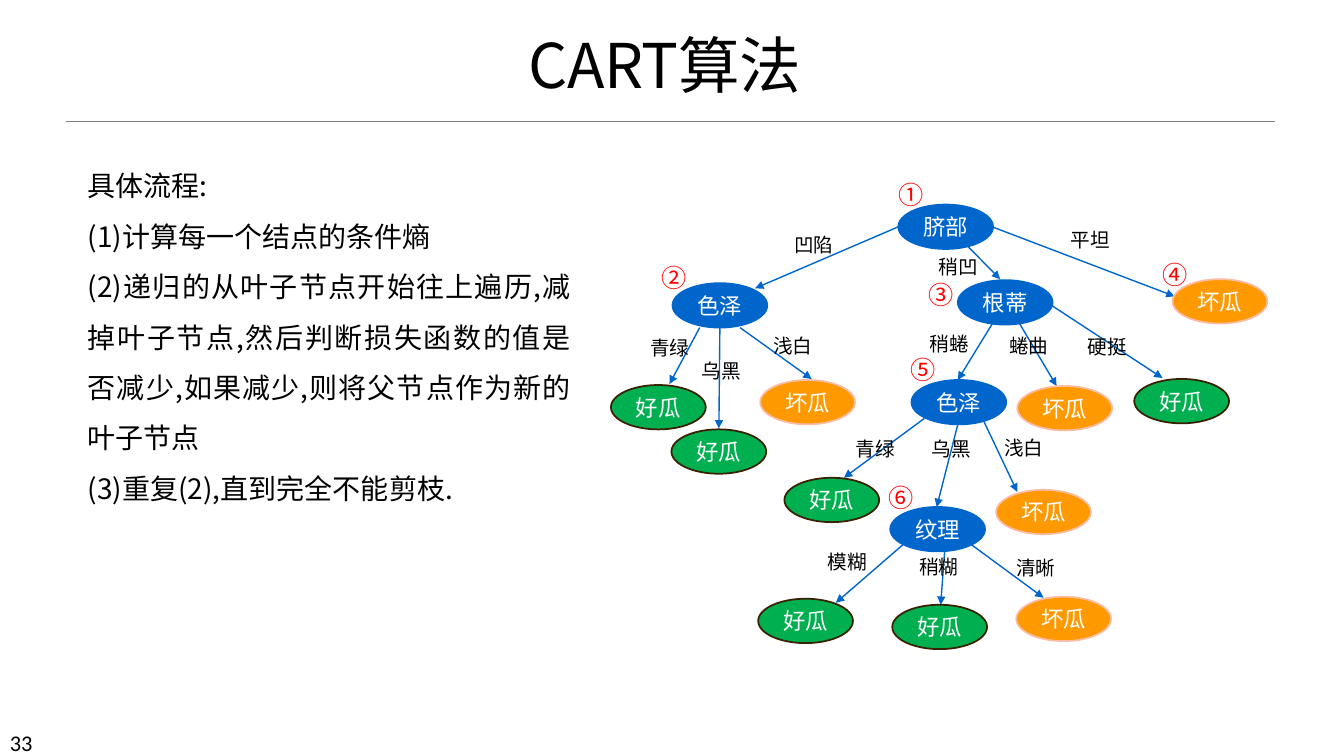
import pptx
import pptx.util
import pptx.dml.color
import pptx.enum.shapes
import pptx.enum.text
import pptx.oxml.ns
import lxml.etree
from dataclasses import dataclass

Inches, Pt = pptx.util.Inches, pptx.util.Pt
qn = pptx.oxml.ns.qn
ALIGN = pptx.enum.text.PP_ALIGN
ANCHOR = pptx.enum.text.MSO_ANCHOR
FIT = pptx.enum.text.MSO_AUTO_SIZE
STRAIGHT = pptx.enum.shapes.MSO_CONNECTOR.STRAIGHT
OVAL = pptx.enum.shapes.MSO_SHAPE.OVAL

TITLE = "CART算法"
PAGE = "33"
STEPS = [
    "具体流程:",
    "(1)计算每一个结点的条件熵",
    "(2)递归的从叶子节点开始往上遍历,减掉叶子节点,然后判断损失函数的值是否减少,如果减少,则将父节点作为新的叶子节点",
    "(3)重复(2),直到完全不能剪枝.",
]
# kind: (text, list of left/top corners)
NODES = [
    ("split", "脐部", [(8.91, 2.03)]),
    ("split", "色泽", [(6.67, 2.81), (9.04, 3.77)]),
    ("split", "根蒂", [(9.5, 2.78)]),
    ("split", "纹理", [(8.83, 5.03)]),
    ("good", "好瓜", [(6.06, 3.82), (6.66, 4.26), (11.25, 3.76),
                    (7.78, 4.74), (7.52, 5.94), (8.85, 6)]),
    ("bad", "坏瓜", [(11.63, 2.77), (7.54, 3.77), (10.09, 3.83),
                   (9.88, 4.86), (10.08, 5.92)]),
]
# label, label corner, arrow start, arrow end
EDGES = [
    ("凹陷", (7.78, 2.26), (8.91, 2.25), (7.49, 2.86)),
    ("稍凹", (9.21, 2.48), (9.22, 2.06), (9.92, 2.77)),
    ("平坦", (10.52, 2.21), (9.84, 2.25), (11.65, 2.94)),
    ("青绿", (6.35, 3.28), (6.94, 3.25), (6.64, 3.81)),
    ("乌黑", (6.86, 3.51), (7.14, 3.25), (7.13, 4.25)),
    ("浅白", (7.57, 3.26), (7.34, 3.25), (8.05, 3.76)),
    ("稍蜷", (9.12, 3.24), (10.07, 2.84), (9.5, 3.77)),
    ("蜷曲", (9.91, 3.26), (10.1, 3.19), (10.48, 3.83)),
    ("硬挺", (10.69, 3.27), (10.43, 3.03), (11.53, 3.75)),
    ("青绿", (8.39, 4.29), (9.17, 4.15), (8.37, 4.74)),
    ("乌黑", (9.14, 4.29), (9.5, 4.21), (9.29, 5.03)),
    ("浅白", (9.86, 4.28), (9.72, 4.1), (10.09, 4.88)),
    ("模糊", (8.11, 5.41), (8.96, 5.4), (8.29, 5.98)),
    ("稍糊", (9.02, 5.46), (9.37, 5.46), (9.33, 6)),
    ("清晰", (9.98, 5.47), (9.63, 5.4), (10.35, 5.93)),
]
MARKS = [
    ("①", (8.81, 1.73)), ("②", (6.46, 2.55)), ("③", (9.11, 2.72)),
    ("④", (11.43, 2.52)), ("⑤", (8.93, 3.47)), ("⑥", (8.71, 4.74)),
]


@dataclass(frozen=True)
class Theme:
    font: str = "Noto Sans CJK SC"
    page_font: str = "Calibri"
    ink: str = "000000"
    white: str = "FFFFFF"
    red: str = "FF0000"
    blue: str = "0066CC"
    gray: str = "808080"
    green: str = "00B050"
    brown: str = "392104"
    orange: str = "FF9900"
    peach: str = "FBBCA3"
    title: int = 44
    body: int = 20
    mark: int = 18
    node: int = 16
    label: int = 14


THEME = Theme()
LOOKS = {  # fill, outline
    "split": (THEME.blue, THEME.blue),
    "good": (THEME.green, THEME.brown),
    "bad": (THEME.orange, THEME.peach),
}
NODE_SIZE = (0.94, 0.44)


def rgb(code):
    return pptx.dml.color.RGBColor.from_string(code)


def place(shape, left, top, width, height):
    shape.left, shape.top = Inches(left), Inches(top)
    shape.width, shape.height = Inches(width), Inches(height)


def write(para, text, size, color, font=THEME.font):
    """Add one run, with the same face for Latin and Chinese text."""
    run = para.add_run()
    run.text = text
    run.font.size = Pt(size)
    run.font.name = font
    run.font.color.rgb = rgb(color)
    props = run.font._element
    props.find(qn("a:latin")).addnext(
        props.makeelement(qn("a:ea"), {"typeface": font}))
    return run


def add_note(slide, text, box, size, color, font=THEME.font):
    note = slide.shapes.add_textbox(*map(Inches, box))
    note.text_frame.word_wrap = True
    write(note.text_frame.paragraphs[0], text, size, color, font)


def add_line(slide, start, end, color, width, arrow=False):
    line = slide.shapes.add_connector(
        STRAIGHT, *map(Inches, (*start, *end)))
    line.line.color.rgb = rgb(color)
    line.line.width = Pt(width)
    if arrow:
        lxml.etree.SubElement(line.line._get_or_add_ln(), qn("a:tailEnd"),
                              type="triangle")
    lxml.etree.SubElement(line._element.spPr, qn("a:effectLst"))


def add_node(slide, text, kind, corner):
    node = slide.shapes.add_shape(OVAL, *map(Inches, (*corner, *NODE_SIZE)))
    fill, edge = LOOKS[kind]
    node.shadow.inherit = False
    node.fill.solid()
    node.fill.fore_color.rgb = rgb(fill)
    node.line.color.rgb = rgb(edge)
    node.line.width = Pt(1.25)
    frame = node.text_frame
    frame.margin_left = frame.margin_right = 0
    frame.margin_top = frame.margin_bottom = 0
    frame.vertical_anchor = ANCHOR.MIDDLE
    para = frame.paragraphs[0]
    para.alignment = ALIGN.CENTER
    write(para, text, THEME.node, THEME.white)


def fill_title(shape):
    place(shape, 0.38, 0.24, 12.43, 0.81)
    frame = shape.text_frame
    frame.auto_size = FIT.NONE
    frame.vertical_anchor = ANCHOR.BOTTOM
    para = frame.paragraphs[0]
    para.alignment = ALIGN.CENTER
    para.line_spacing = 0.85
    run = write(para, TITLE, THEME.title, THEME.ink)
    run.font._element.set("spc", "-50")


def fill_body(shape):
    place(shape, 0.77, 1.46, 4.99, 3.56)
    frame = shape.text_frame
    frame.auto_size = FIT.NONE
    for i, step in enumerate(STEPS):
        para = frame.add_paragraph() if i else frame.paragraphs[0]
        props = para._p.get_or_add_pPr()
        props.set("marL", "0")
        props.set("indent", "0")
        lxml.etree.SubElement(props, qn("a:buNone"))
        para.alignment = ALIGN.JUSTIFY
        para.line_spacing = 1.5
        para.space_before = Pt(0)
        write(para, step, THEME.body, THEME.ink)


def main():
    deck = pptx.Presentation()
    deck.slide_width, deck.slide_height = Inches(13.33), Inches(7.5)
    slide = deck.slides.add_slide(deck.slide_layouts[1])
    fill_title(slide.shapes.title)
    fill_body(slide.placeholders[1])
    add_line(slide, (0.65, 1.2), (12.65, 1.2), THEME.gray, 0.5)
    add_note(slide, PAGE, (0, 7.18, 1.17, 0.3), THEME.node, THEME.ink,
             THEME.page_font)

    for _, _, start, end in EDGES:
        add_line(slide, start, end, THEME.blue, 1, arrow=True)
    for kind, text, spots in NODES:
        for corner in spots:
            add_node(slide, text, kind, corner)
    for text, corner, _, _ in EDGES:
        add_note(slide, text, (*corner, 0.7, 0.34), THEME.label, THEME.ink)
    for text, corner in MARKS:
        add_note(slide, text, (*corner, 0.7, 0.4), THEME.mark, THEME.red)
    deck.save("out.pptx")


if __name__ == "__main__":
    main()
